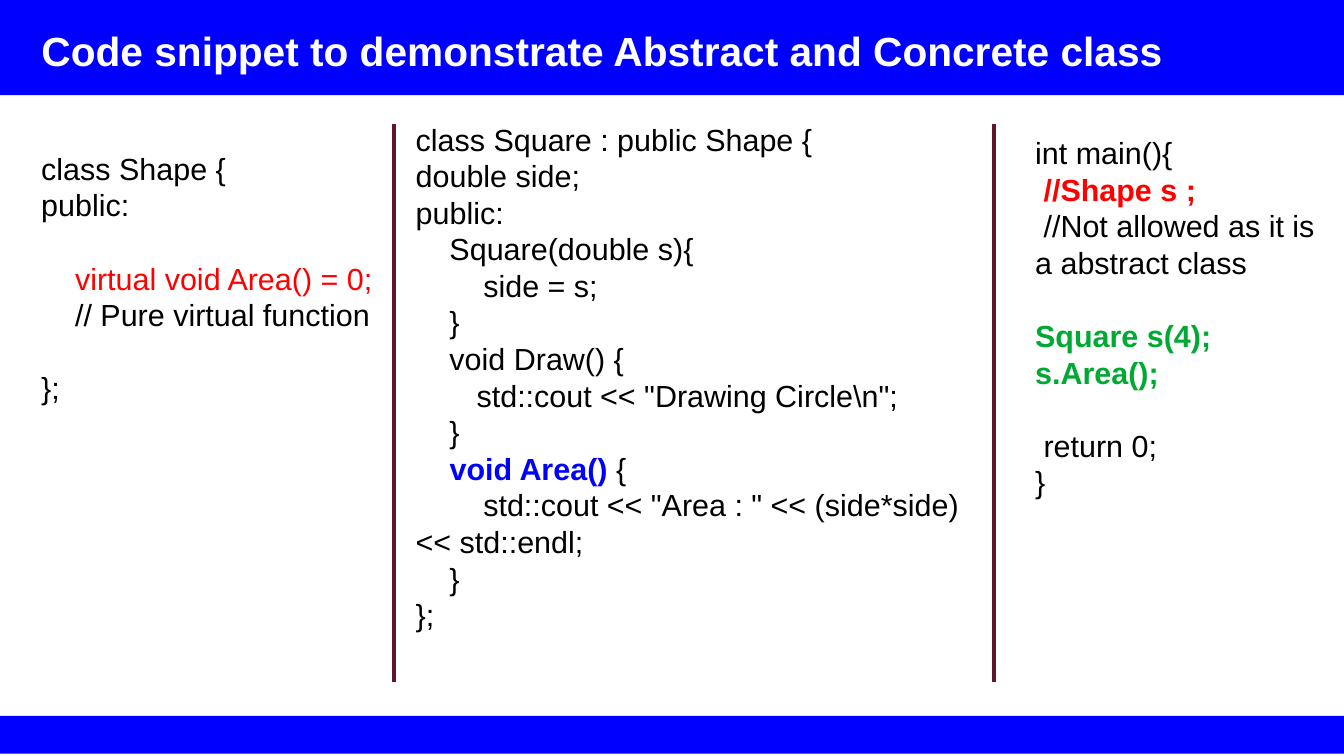
from dataclasses import dataclass

from lxml import etree
from pptx import Presentation
from pptx.dml.color import RGBColor
from pptx.enum.shapes import MSO_CONNECTOR, MSO_SHAPE
from pptx.enum.text import MSO_ANCHOR, PP_ALIGN
from pptx.oxml.ns import qn
from pptx.util import Inches, Pt

RECT = MSO_SHAPE.RECTANGLE
STRAIGHT = MSO_CONNECTOR.STRAIGHT
LEFT = PP_ALIGN.LEFT
TOP, MIDDLE = MSO_ANCHOR.TOP, MSO_ANCHOR.MIDDLE

BLACK, WHITE, BLUE = "000000", "FFFFFF", "0000FF"
RED, GREEN, MAROON = "FF0000", "00A933", "611729"
FONT = "Arial"
CODE_SIZE, TITLE_SIZE = 18, 24
LEADING = 1.2
WIDTH, HEIGHT = Inches(11.02), Inches(6.2)


@dataclass
class Span:
    text: str
    color: str = BLACK
    bold: bool = False


@dataclass
class Line:
    spans: list[Span]
    gap: bool = False  # one line of space above


@dataclass
class Box:
    """A frame in percent of the slide's width and height."""
    left: float
    top: float
    width: float
    height: float

    def emu(self) -> tuple[int, int, int, int]:
        return x(self.left), y(self.top), x(self.width), y(self.height)


@dataclass
class CodeColumn:
    box: Box
    lines: list[Line]


def x(percent: float) -> int:
    return round(WIDTH * percent / 100)


def y(percent: float) -> int:
    return round(HEIGHT * percent / 100)


def rgb(color: str) -> RGBColor:
    return RGBColor.from_string(color)


def code(text: str, color: str = BLACK, bold: bool = False, gap: bool = False) -> Line:
    return Line([Span(text, color, bold)], gap)


def add_run(p, text: str, *, size: int, color: str, bold: bool) -> None:
    r = p.add_run()
    r.text = text
    r.font.name = FONT
    r.font.size = Pt(size)
    r.font.bold = bold
    r.font.color.rgb = rgb(color)


def write_lines(tf, lines: list[Line], *, size: int, anchor=TOP) -> None:
    tf.word_wrap = True
    tf.vertical_anchor = anchor
    tf.margin_left = tf.margin_right = Inches(0.1)
    tf.margin_top = tf.margin_bottom = Inches(0.05)
    for i, line in enumerate(lines):
        p = tf.add_paragraph() if i else tf.paragraphs[0]
        p.alignment = LEFT
        p.line_spacing = Pt(size * LEADING)
        p.space_before = Pt(size * LEADING if line.gap else 0)
        for span in line.spans:
            add_run(p, span.text, size=size, color=span.color, bold=span.bold)


def add_bar(s, box: Box) -> None:
    bar = s.shapes.add_shape(RECT, *box.emu())
    bar.shadow.inherit = False
    bar.fill.solid()
    bar.fill.fore_color.rgb = rgb(BLUE)
    bar.line.fill.background()


def add_divider(s, left: float, top: float, bottom: float) -> None:
    divider = s.shapes.add_connector(STRAIGHT, x(left), y(top), x(left), y(bottom))
    divider.line.color.rgb = rgb(MAROON)
    divider.line.width = Pt(2.83)
    etree.SubElement(divider.element.spPr, qn("a:effectLst"))


def set_title(s, text: str, box: Box) -> None:
    """Fill the title placeholder and bring it in front of the header bar."""
    title = s.shapes.title
    title.left, title.top, title.width, title.height = box.emu()
    write_lines(title.text_frame, [code(text, WHITE, True)],
                size=TITLE_SIZE, anchor=MIDDLE)
    title.element.getparent().append(title.element)


BARS = [Box(0, 0, 100, 12.58), Box(0, 94.68, 100, 5)]
DIVIDERS = [29.31, 73.96]
COLUMNS = [
    CodeColumn(Box(2.18, 19.03, 27.13, 42.26), [
        code("class Shape {"),
        code("public:"),
        code("    virtual void Area() = 0;", RED, gap=True),
        code("    // Pure virtual function"),
        code("};", gap=True),
    ]),
    CodeColumn(Box(30.04, 15.16, 44.28, 87.42), [
        code("class Square : public Shape {"),
        code("double side;"),
        code("public:"),
        code("    Square(double s){"),
        code("        side = s;"),
        code("    }"),
        code("    void Draw() {"),
        code("\tstd::cout << \"Drawing Circle\\n\";"),
        code("    }"),
        Line([Span("    "), Span("void Area()", BLUE, True), Span(" {")]),
        code("        std::cout << \"Area : \" << (side*side) << std::endl;"),
        code("    }"),
        code("};"),
    ]),
    CodeColumn(Box(76.13, 16.94, 23.59, 46.77), [
        code("int main(){"),
        code(" //Shape s ;", RED, True),
        code(" //Not allowed as it is a abstract class"),
        code("Square s(4);", GREEN, True, gap=True),
        code("s.Area();", GREEN, True),
        code(" return 0;", gap=True),
        code("}"),
    ]),
]


def main() -> None:
    prs = Presentation()
    prs.slide_width, prs.slide_height = WIDTH, HEIGHT
    s = prs.slides.add_slide(prs.slide_layouts[5])
    for bar in BARS:
        add_bar(s, bar)
    set_title(s, "Code snippet to demonstrate Abstract and Concrete class",
              Box(2.18, 2.58, 86.48, 8))
    for column in COLUMNS:
        text_box = s.shapes.add_textbox(*column.box.emu())
        write_lines(text_box.text_frame, column.lines, size=CODE_SIZE)
    for left in DIVIDERS:
        add_divider(s, left, 16.45, 90.16)
    prs.save("out.pptx")


if __name__ == "__main__":
    main()
